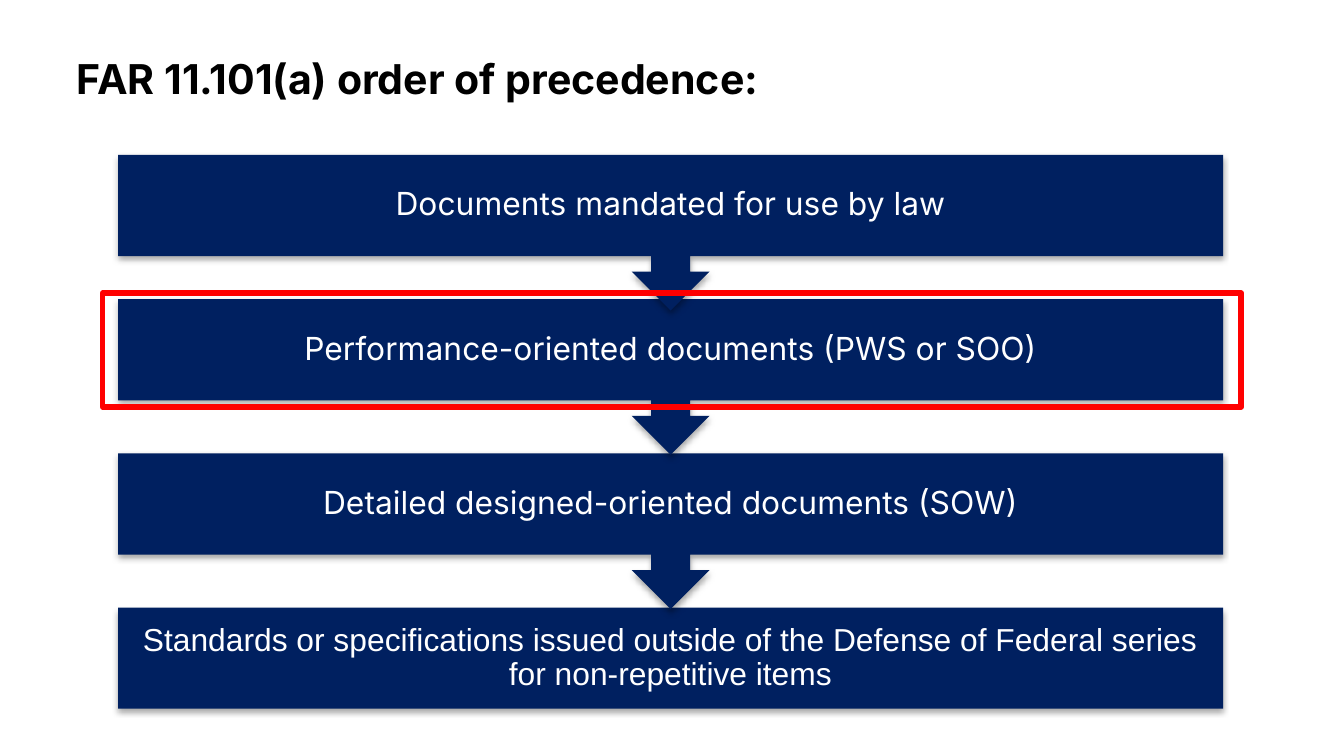
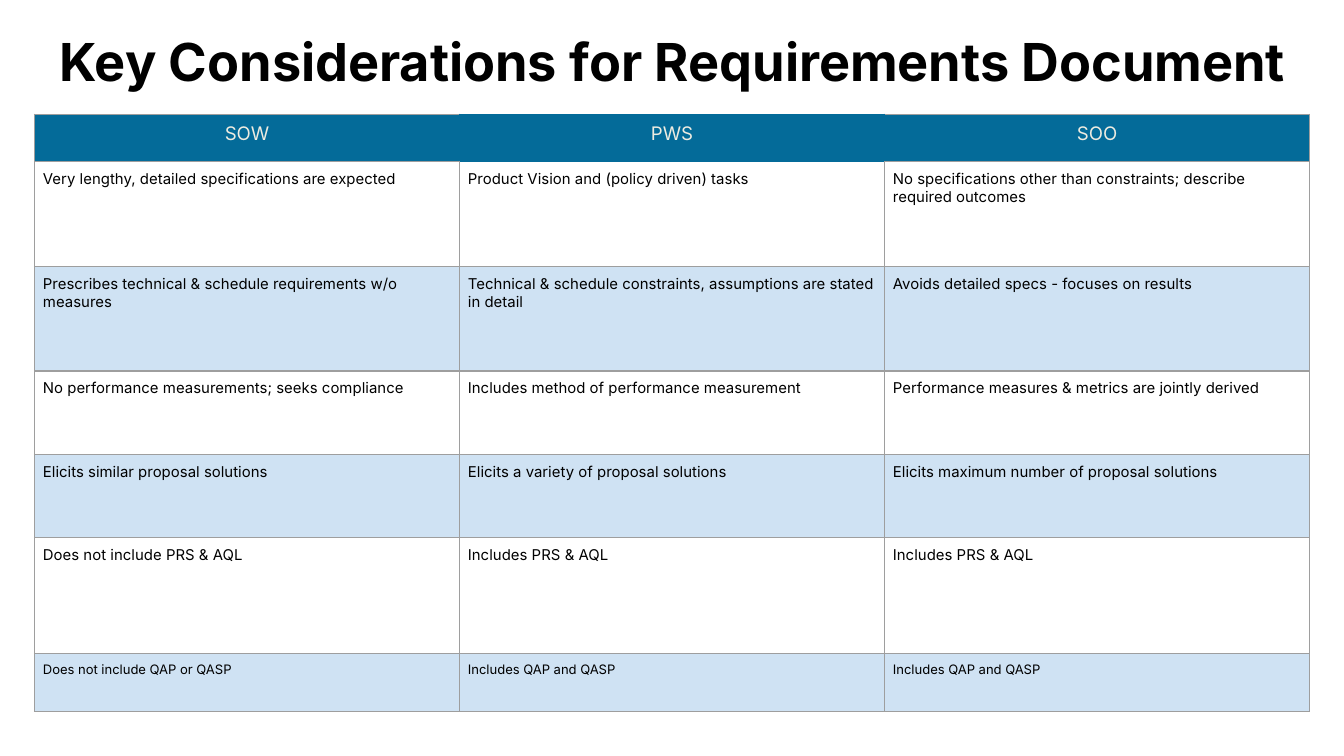
from lxml.etree import SubElement as Sub
from pptx import Presentation
from pptx.dml.color import RGBColor
from pptx.enum.shapes import MSO_SHAPE as Shape
from pptx.enum.text import MSO_ANCHOR as Anchor, MSO_AUTO_SIZE as Fit, PP_ALIGN as Align
from pptx.oxml.ns import qn
from pptx.util import Pt

# Shared look
NAVY, RED, BLACK, WHITE = "002060", "FF0000", "000000", "FFFFFF"
BLUE, PALE, CREAM, GREY = "046B99", "CFE2F3", "EEECE1", "9E9E9E"
FONT = "Inter"

# Order of precedence: top edge, font, text
LEFT, WIDTH, TALL, DROP = 63.3, 592, 54.2, 83.4
STEPS = [
    (83, FONT, "Documents mandated for use by law"),
    (160.3, FONT, "Performance-oriented documents (PWS or SOO)"),
    (242.9, FONT, "Detailed designed-oriented documents (SOW)"),
    (325.5, "Arial", "Standards or specifications issued outside of the "
                     "Defense of Federal series for non-repetitive items"),
]

# Comparison table: row height, text size, cells
ROWS = [
    (25.2, 10, ["SOW", "PWS", "SOO"]),
    (56.2, 8, ["Very lengthy, detailed specifications are expected",
               "Product Vision and (policy driven) tasks",
               "No specifications other than constraints; describe required outcomes"]),
    (56.2, 8, ["Prescribes technical & schedule requirements w/o measures",
               "Technical & schedule constraints, assumptions are stated in detail",
               "Avoids detailed specs - focuses on results"]),
    (44.6, 8, ["No performance measurements; seeks compliance",
               "Includes method of performance measurement",
               "Performance measures & metrics are jointly derived"]),
    (44.6, 8, ["Elicits similar proposal solutions",
               "Elicits a variety of proposal solutions",
               "Elicits maximum number of proposal solutions"]),
    (62.3, 8, ["Does not include PRS & AQL", "Includes PRS & AQL", "Includes PRS & AQL"]),
    (31, 7, ["Does not include QAP or QASP", "Includes QAP and QASP", "Includes QAP and QASP"]),
]
COL = 227.7

# Cell sides in schema order, with the step to the neighbouring cell
SIDES = {"a:lnL": (0, -1), "a:lnR": (0, 1), "a:lnT": (-1, 0), "a:lnB": (1, 0)}


def rgb(code):
    return RGBColor.from_string(code)


def put(obj, **vals):
    for name, val in vals.items():
        setattr(obj, name, val)


def write(frame, text, size, color, font=FONT, bold=False, align=Align.LEFT):
    frame.text = text
    para = frame.paragraphs[0]
    para.alignment = align
    put(para.font, name=font, size=Pt(size), bold=bold)
    para.font.color.rgb = rgb(color)
    return para


def add_page(deck, title, box, size):
    """Add a title-only slide with its title placed in box."""
    page = deck.slides.add_slide(deck.slide_layouts[5])
    head = page.shapes.title
    put(head, **dict(zip(("left", "top", "width", "height"), map(Pt, box))))
    put(head.text_frame, word_wrap=True, vertical_anchor=Anchor.TOP,
        auto_size=Fit.SHAPE_TO_FIT_TEXT)
    write(head.text_frame, title, size, BLACK, bold=True)
    return page


def add_shade(shape):
    """Give a shape a soft shadow straight below it."""
    shape.shadow.inherit = False
    fx = shape._element.spPr.find(qn("a:effectLst"))
    drop = Sub(fx, qn("a:outerShdw"), blurRad=str(Pt(3.1)), dist=str(Pt(1.8)),
               dir="5400000", rotWithShape="0")
    tint = Sub(drop, qn("a:srgbClr"), val=BLACK)
    Sub(tint, qn("a:alpha"), val="35000")


def add_step(page, top, font, text, last):
    """Add one box; all but the last point down to the next."""
    kind = Shape.RECTANGLE if last else Shape.DOWN_ARROW_CALLOUT
    box = page.shapes.add_shape(kind, Pt(LEFT), Pt(top), Pt(WIDTH),
                                Pt(TALL if last else DROP))
    if not last:
        for i, val in enumerate((0.25, 0.25, 0.25, 0.65)):
            box.adjustments[i] = val
    box.fill.solid()
    box.fill.fore_color.rgb = rgb(NAVY)
    box.line.fill.background()
    add_shade(box)
    pad = Pt(9.4)
    put(box.text_frame, word_wrap=True, vertical_anchor=Anchor.MIDDLE, margin_left=pad,
        margin_right=pad, margin_top=pad, margin_bottom=pad)
    para = write(box.text_frame, text, 17, WHITE, font, align=Align.CENTER)
    para.line_spacing = 0.9


def add_frame(page, left, top, width, height):
    frame = page.shapes.add_shape(Shape.RECTANGLE, Pt(left), Pt(top), Pt(width), Pt(height))
    frame.shadow.inherit = False
    frame.fill.background()
    frame.line.color.rgb = rgb(RED)
    frame.line.width = Pt(3)


def add_edges(cell, row, col):
    """Draw grey cell edges, blue around the middle heading."""
    props = cell._tc.get_or_add_tcPr()
    for tag, (down, right) in SIDES.items():
        near = (0, 1) in ((row, col), (row + down, col + right))
        line = Sub(props, qn(tag), w=str(Pt(0.75)))
        fill = Sub(line, qn("a:solidFill"))
        Sub(fill, qn("a:srgbClr"), val=BLUE if near else GREY)


def add_grid(page, left, top):
    high = sum(row[0] for row in ROWS)
    grid = page.shapes.add_table(len(ROWS), 3, Pt(left), Pt(top), Pt(3 * COL), Pt(high)).table
    put(grid, first_row=False, horz_banding=False)
    for col in grid.columns:
        col.width = Pt(COL)
    pad = Pt(4.5)
    for r, (tall, size, texts) in enumerate(ROWS):
        grid.rows[r].height = Pt(tall)
        for c, text in enumerate(texts):
            cell = grid.cell(r, c)
            put(cell, margin_left=pad, margin_right=pad, margin_top=pad, margin_bottom=pad)
            write(cell.text_frame, text, size, BLACK if r else CREAM,
                  align=Align.LEFT if r else Align.CENTER)
            add_edges(cell, r, c)
            if r % 2:
                cell.fill.background()
            else:
                cell.fill.solid()
                cell.fill.fore_color.rgb = rgb(PALE if r else BLUE)


def main():
    deck = Presentation()
    put(deck, slide_width=Pt(720), slide_height=Pt(405))

    # Order of precedence, stacked from the bottom up
    page = add_page(deck, "FAR 11.101(a) order of precedence:", (34, 25.2, 616, 34), 22)
    for step in reversed(STEPS):
        add_step(page, *step, last=step is STEPS[-1])
    add_frame(page, 55, 157, 610, 61)

    # Document comparison
    page = add_page(deck, "Key Considerations for Requirements Document",
                    (24.7, 12.2, 682.5, 41), 28)
    add_grid(page, 18.5, 61.2)

    deck.save("out.pptx")


if __name__ == "__main__":
    main()
